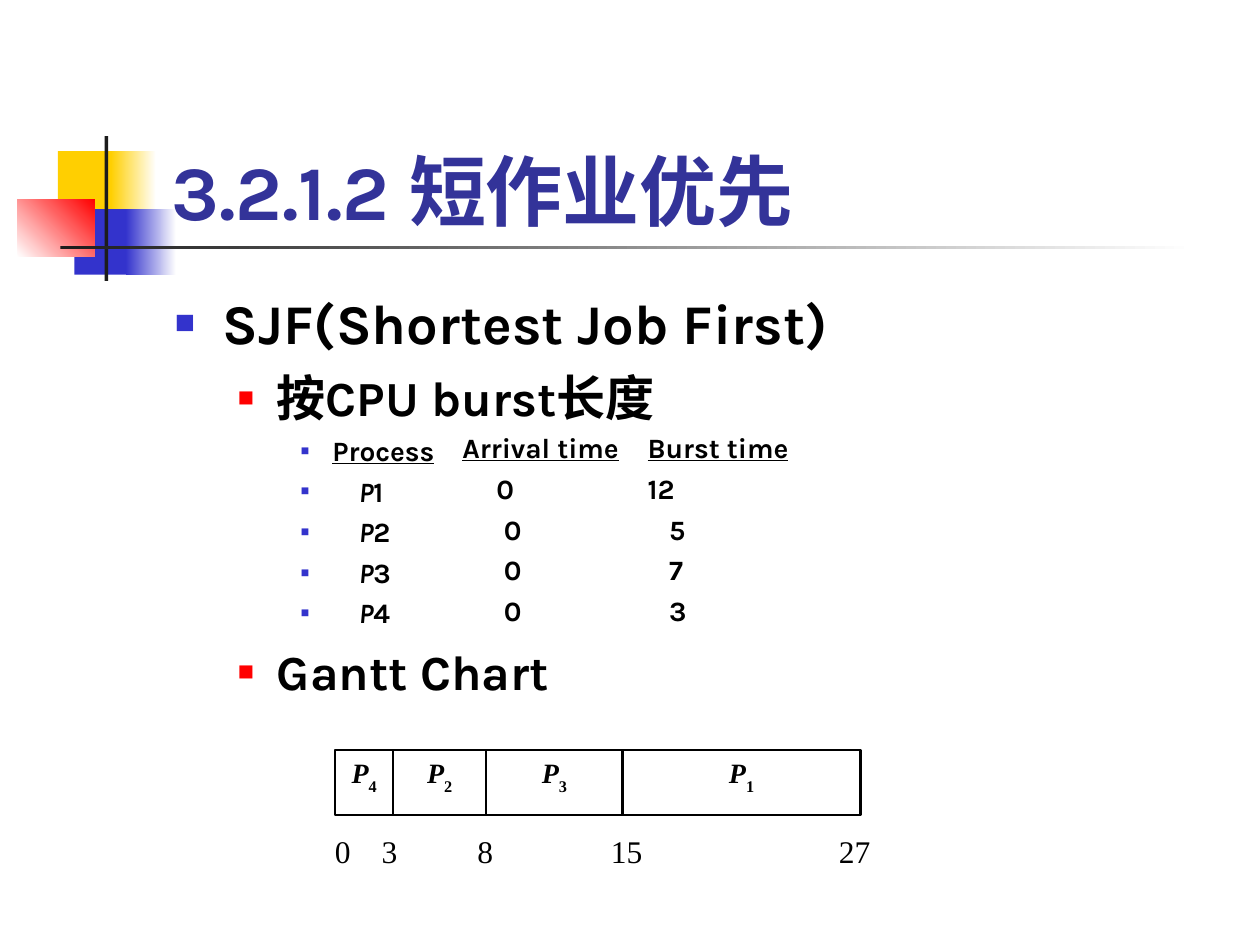
from pptx import Presentation
from pptx.dml.color import RGBColor
from pptx.enum.shapes import MSO_SHAPE
from pptx.enum.text import MSO_ANCHOR, PP_ALIGN
from pptx.oxml.xmlchemy import OxmlElement
from pptx.util import Inches, Pt

RECT = MSO_SHAPE.RECTANGLE
TOP, BOTTOM = MSO_ANCHOR.TOP, MSO_ANCHOR.BOTTOM
CENTER, LEFT = PP_ALIGN.CENTER, PP_ALIGN.LEFT

YELLOW = RGBColor(0xFF, 0xCF, 0x01)
BLUE = RGBColor(0x33, 0x33, 0xCC)
RED = RGBColor(0xFF, 0x00, 0x00)
DARK = RGBColor(0x1C, 0x1C, 0x1C)
NAVY = RGBColor(0x33, 0x33, 0x99)
BLACK = RGBColor(0x00, 0x00, 0x00)
WHITE = RGBColor(0xFF, 0xFF, 0xFF)

SANS, SERIF = "Karla", "Times New Roman"

# start colour, end colour (None for a plain fill), angle, box
DECORATION = [
    (YELLOW, None, 0, (0.46, 1.2, 0.48, 0.52)),
    (YELLOW, WHITE, 0, (0.88, 1.2, 0.36, 0.52)),
    (BLUE, None, 0, (0.59, 1.66, 0.46, 0.52)),
    (BLUE, WHITE, 0, (1, 1.66, 0.4, 0.52)),
    (WHITE, RED, 45, (0.14, 1.58, 0.61, 0.46)),
    (DARK, None, 0, (0.83, 1.08, 0.03, 1.15)),
    (DARK, WHITE, 0, (0.48, 1.95, 9, 0.03)),
]
# level: font size, bullet left, text left, space before, bullet colour, bullet %
LEVELS = [
    (32, 0, 0.38, 8, BLUE, 60),
    (28, 0.5, 0.81, 7, RED, 55),
    (16, 1, 1.25, 4, BLUE, 50),
]
NAME_INDENT = 0.21
# left edge, heading, (value, indent) for P1 to P4
COLUMNS = [
    (3.67, "Arrival time", [("0", 0.27), ("0", 0.33), ("0", 0.33), ("0", 0.33)]),
    (5.14, "Burst time", [("12", 0), ("5", 0.17), ("7", 0.17), ("3", 0.17)]),
]
GANTT_ORDER = ["4", "2", "3", "1"]
GANTT_EDGES = [2.66, 3.12, 3.86, 4.94, 6.83]
GANTT_TIMES = ["0", "3", "8", "15", "27"]
TIME_TABS = [0.37, 1.13, 2.19, 4]


def add_rect(slide, box, fill, end=None, angle=0, line=None, width=0):
    s = slide.shapes.add_shape(RECT, *map(Inches, box))
    s.shadow.inherit = False
    if end is None:
        s.fill.solid()
        s.fill.fore_color.rgb = fill
    else:
        s.fill.gradient()
        s.fill.gradient_angle = angle
        for stop, color in zip(s.fill.gradient_stops, (fill, end)):
            stop.color.rgb = color
    if line is None:
        s.line.fill.background()
    else:
        s.line.color.rgb = line
        s.line.width = Pt(width)
    return s


def set_frame(tf, anchor=TOP, side=0.1, edge=0.05):
    tf.word_wrap = True
    tf.vertical_anchor = anchor
    tf.margin_left = tf.margin_right = Inches(side)
    tf.margin_top = tf.margin_bottom = Inches(edge)
    return tf


def add_text_box(slide, box, **frame):
    return set_frame(slide.shapes.add_textbox(*map(Inches, box)).text_frame, **frame)


def next_paragraph(tf, space_before=0):
    """The empty first paragraph, or a new one set apart from the one above."""
    if not tf.paragraphs[0].runs:
        return tf.paragraphs[0]
    p = tf.add_paragraph()
    p.space_before = Pt(space_before)
    return p


def add_run(p, text, size, font=SANS, color=BLACK, bold=True, italic=False, underline=False):
    r = p.add_run()
    r.text = text
    f = r.font
    f.size, f.name, f.bold, f.italic, f.underline = Pt(size), font, bold, italic, underline
    f.color.rgb = color
    return r


def set_indent(p, left, first=0):
    pPr = p._p.get_or_add_pPr()
    pPr.set("marL", str(Inches(left)))
    pPr.set("indent", str(Inches(first)))
    return pPr


def add_child(parent, tag, **attributes):
    child = OxmlElement(tag)
    for name, value in attributes.items():
        child.set(name, str(value))
    parent.append(child)
    return child


def add_bullet(tf, level, shift=0):
    """A bulleted paragraph of the level; shift moves its text to the right."""
    _, start, left, space, color, percent = LEVELS[level]
    p = next_paragraph(tf, space)
    p.level = level
    pPr = set_indent(p, left + shift, start - left - shift)
    add_child(add_child(pPr, "a:buClr"), "a:srgbClr", val=color)
    add_child(pPr, "a:buSzPct", val=percent * 1000)
    add_child(pPr, "a:buFont", typeface="Arial")
    add_child(pPr, "a:buChar", char="■")
    return p


def add_body(slide):
    tf = add_text_box(slide, (1.29, 2.24, 8.5, 4.5))
    add_run(add_bullet(tf, 0), "SJF(Shortest Job First)", LEVELS[0][0])
    add_run(add_bullet(tf, 1), "按CPU burst长度", LEVELS[1][0])
    size = LEVELS[2][0]
    add_run(add_bullet(tf, 2), "Process", size, underline=True)
    for number in "1234":
        p = add_bullet(tf, 2, NAME_INDENT)
        add_run(p, "P", size, italic=True)
        add_run(p, number, size)
    add_run(add_bullet(tf, 1), "Gantt Chart", LEVELS[1][0])


def add_column(slide, left, heading, values):
    size, space = LEVELS[2][0], LEVELS[2][3]
    tf = add_text_box(slide, (left, 3.42, 1.4, 1.6), side=0, edge=0)
    add_run(next_paragraph(tf), heading, size, underline=True)
    for value, indent in values:
        p = next_paragraph(tf, space)
        set_indent(p, indent)
        add_run(p, value, size)


def add_gantt(slide):
    times = add_rect(slide, (2.56, 6.59, 4.49, 0.36), WHITE, line=WHITE, width=0.75)
    p = set_frame(times.text_frame, edge=0.01).paragraphs[0]
    p.alignment = LEFT
    tabs = add_child(p._p.get_or_add_pPr(), "a:tabLst")
    for tab in TIME_TABS:
        add_child(tabs, "a:tab", pos=Inches(tab), algn="l")
    add_run(p, "\t".join(GANTT_TIMES), 18, SERIF, bold=False)

    for number, start, end in zip(GANTT_ORDER, GANTT_EDGES, GANTT_EDGES[1:]):
        bar = add_rect(slide, (start, 5.95, end - start, 0.52), WHITE, line=BLACK, width=1.25)
        p = set_frame(bar.text_frame).paragraphs[0]
        p.alignment = CENTER
        add_run(p, "P", 16, SERIF, italic=True)
        subscript = add_run(p, number, 16, SERIF)
        subscript.font._element.set("baseline", "-30000")


def main():
    prs = Presentation()
    prs.slide_width, prs.slide_height = Inches(10), Inches(7.5)
    slide = prs.slides.add_slide(prs.slide_layouts[6])
    for fill, end, angle, box in DECORATION:
        add_rect(slide, box, fill, end, angle)
    title = add_text_box(slide, (1.26, 0.67, 8.52, 1.25), anchor=BOTTOM)
    add_run(title.paragraphs[0], "3.2.1.2 短作业优先", 44, color=NAVY)
    add_body(slide)
    for column in COLUMNS:
        add_column(slide, *column)
    add_gantt(slide)
    prs.save("out.pptx")


if __name__ == "__main__":
    main()
